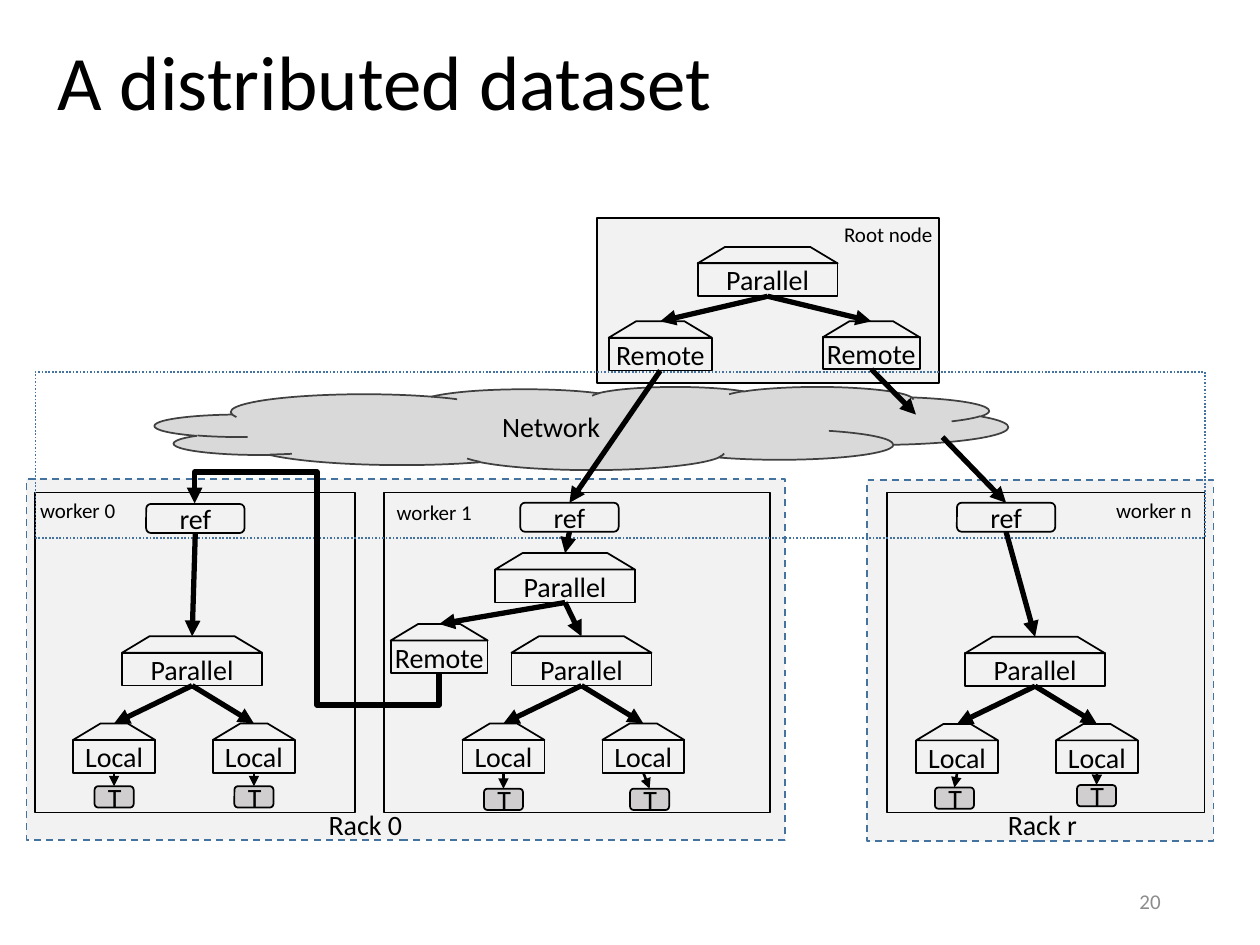
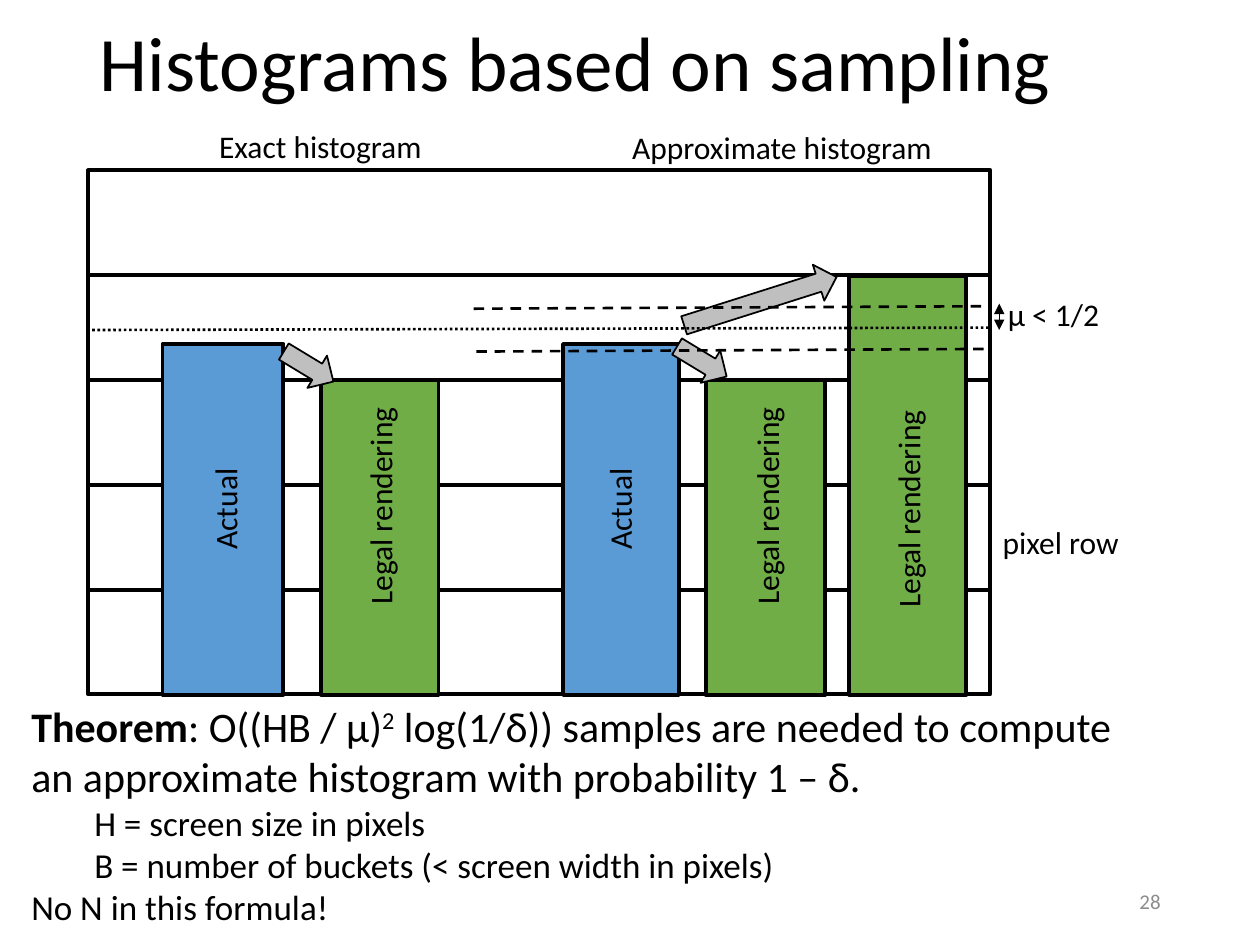
from dataclasses import dataclass

from lxml import etree
from pptx import Presentation
from pptx import util as u
from pptx.dml.color import RGBColor
from pptx.enum import dml, shapes, text
from pptx.oxml.ns import qn

KIND = shapes.MSO_SHAPE
ALIGN = text.PP_ALIGN
DASH = dml.MSO_LINE


@dataclass(frozen=True)
class Theme:
    font: str = "Calibri"
    ink: str = "000000"
    page: str = "8C8C8C"
    pane: str = "F2F2F2"
    cloud: str = "D9D9D9"
    edge: str = "404040"
    frame: str = "43739E"
    leaf: str = "D0CECE"
    blue: str = "5B9BD5"
    green: str = "70AD47"
    arrow: str = "BFBFBF"
    title: int = 44
    large: int = 24
    medium: int = 20
    label: int = 18
    body: int = 16
    small: int = 12


T = Theme()


def write(par, words, size=T.body, color=T.ink, bold=False, raised=0,
          align=ALIGN.LEFT, indent=0):
    """Add one formatted run to a paragraph."""
    par.alignment = align
    if indent:
        par._p.get_or_add_pPr().set("marL", str(u.Pt(indent)))
    run = par.add_run()
    run.text = words
    font = run.font
    font.name, font.size, font.bold = T.font, u.Pt(size), bold
    font.color.rgb = RGBColor.from_string(color)
    if raised:
        font._element.set("baseline", str(raised * 1000))


class Deck:
    """Holds the style and the current slide; lengths are in points."""

    def __init__(self):
        self.prs = Presentation()
        self.prs.slide_width, self.prs.slide_height = u.Pt(720), u.Pt(540)

    def start(self, title, number, place):
        self.slide = self.prs.slides.add_slide(self.prs.slide_layouts[5])
        head = self.slide.shapes.title
        head.left, head.top, head.width, head.height = map(u.Pt, place)
        frame = head.text_frame
        frame.auto_size = text.MSO_AUTO_SIZE.NONE
        frame.vertical_anchor = text.MSO_ANCHOR.MIDDLE
        frame.paragraphs[0].line_spacing = 0.9
        write(frame.paragraphs[0], title, size=T.title)
        self.label(number, 508.3, 500.4, 162, 28.8, size=T.small,
                   color=T.page, align=ALIGN.RIGHT, middle=True)

    def pen(self, line, color, width, dash):
        line.color.rgb = RGBColor.from_string(color)
        line.width = u.Pt(width)
        if dash:
            line.dash_style = dash

    def shape(self, kind, x, y, w, h, fill=None, edge=T.ink, width=1,
              dash=None, words=None, wrap=True, turn=0):
        item = self.slide.shapes.add_shape(kind, *map(u.Pt, (x, y, w, h)))
        item.shadow.inherit = False
        item.rotation = turn
        if fill:
            item.fill.solid()
            item.fill.fore_color.rgb = RGBColor.from_string(fill)
        else:
            item.fill.background()
        self.pen(item.line, edge, width, dash)
        if words:
            frame = item.text_frame
            frame.word_wrap = wrap
            frame.vertical_anchor = text.MSO_ANCHOR.MIDDLE
            write(frame.paragraphs[0], words, align=ALIGN.CENTER)
        return item

    def box(self, *place, **style):
        return self.shape(KIND.RECTANGLE, *place, **style)

    def label(self, words, x, y, w, h, turn=0, middle=False, **fmt):
        item = self.slide.shapes.add_textbox(*map(u.Pt, (x, y, w, h)))
        item.rotation = turn
        frame = item.text_frame
        frame.word_wrap = middle
        if middle:
            frame.vertical_anchor = text.MSO_ANCHOR.MIDDLE
        else:
            frame.auto_size = text.MSO_AUTO_SIZE.SHAPE_TO_FIT_TEXT
        if words:
            write(frame.paragraphs[0], words, **fmt)
        return frame

    def line(self, start, end, width=3, dash=None, ends=("tailEnd",),
             kind=shapes.MSO_CONNECTOR.STRAIGHT):
        item = self.slide.shapes.add_connector(
            kind, *map(u.Pt, (*start, *end)))
        self.pen(item.line, T.ink, width, dash)
        for tip in ends:
            mark = etree.SubElement(item.line._get_or_add_ln(), qn("a:" + tip))
            mark.set("type", "triangle")
        etree.SubElement(item._element.spPr, qn("a:effectLst"))
        return item

    def bend(self, start, end, bends):
        """Draw a five-part elbow, turned a quarter clockwise."""
        item = self.line(start, end, kind=shapes.MSO_CONNECTOR.ELBOW)
        props = item._element.spPr
        props.find(qn("a:xfrm")).set("rot", "5400000")
        geom = props.find(qn("a:prstGeom"))
        geom.set("prst", "bentConnector5")
        guides = geom.find(qn("a:avLst"))
        for i, bend in enumerate(bends, 1):
            etree.SubElement(guides, qn("a:gd"), name=f"adj{i}",
                             fmla=f"val {round(bend * 100000)}")

    def node(self, words, mid, top, width, height=28.2):
        """Draw a roofed box; return its top and bottom points."""
        roof, left = height / 3, mid - width / 2
        cap = self.shape(KIND.TRAPEZOID, left, top, width, roof)
        cap.adjustments[0] = 1.667
        self.box(left, top + roof, width, 2 * roof, words=words, wrap=False)
        return (mid, top), (mid, top + height)

    def pill(self, words, mid, top, width, height, fill=None):
        self.shape(KIND.ROUNDED_RECTANGLE, mid - width / 2, top, width,
                   height, fill=fill, words=words)
        return (mid, top), (mid, top + height)

    def tree(self, mid, top, leaves):
        """Draw a parallel node with two local nodes and their leaves."""
        crown, base = self.node("Parallel", mid, top, 80)
        for shift, leaf in zip((-44.6, 35.3), leaves):
            peak, foot = self.node("Local", mid + shift, top + 49.8, 46.8)
            self.line(base, peak)
            tip, _ = self.pill("T", *leaf, 22.3, 12.2, fill=T.leaf)
            self.line(foot, tip, width=1.5)
        return crown


def dataset(deck):
    deck.start("A distributed dataset", "20", (25.9, 9.4, 465.8, 78.5))

    # Panes, racks and network
    deck.box(341.3, 124.6, 195.1, 94.3, fill=T.pane)
    for x, y, w in ((495.4, 274.3, 198), (15.1, 273.6, 433.4)):
        deck.box(x, y, w, 206.3, fill=T.pane, edge=T.frame, dash=DASH.DASH)
    deck.shape(KIND.CLOUD, 88.6, 221, 487.4, 47.5, fill=T.cloud, edge=T.edge,
               words="Network")
    for x, w in ((20.2, 182.9), (219.6, 220.3), (506.9, 181.4)):
        deck.box(x, 281.5, w, 182.9)
    deck.box(20.2, 212.4, 668.2, 95, edge=T.frame, dash=DASH.ROUND_DOT)

    # Root node
    _, root = deck.node("Parallel", 438.7, 141.1, 80)
    near, out = deck.node("Remote", 377.3, 183.6, 59)
    far, exit = deck.node("Remote", 497.9, 183.6, 55.4, 27.4)
    deck.line(root, near)
    deck.line(root, far)

    # Workers
    first = deck.tree(109.8, 363.6, ((65.2, 449.3), (145.1, 449.3)))
    second = deck.tree(332.3, 363.6, ((287.7, 450.7), (371.2, 450.7)))
    last = deck.tree(591.5, 363.9, ((545.4, 450), (626.6, 448.6)))
    peak, base = deck.node("Parallel", 322.9, 316.1, 80)
    remote, _ = deck.node("Remote", 251, 356.6, 55.4)
    deck.line(base, second)
    deck.line(base, remote)

    # References and the links between machines
    goals = ((111.6, 288, first), (325.4, 287.3, peak), (574.9, 287.3, last))
    refs = []
    for mid, top, goal in goals:
        ref, foot = deck.pill("ref", mid, top, 56.2, 16.6)
        deck.line(foot, goal)
        refs.append(ref)
    deck.line(out, refs[1])
    deck.line(exit, (523.4, 236.9))
    deck.line((538.6, 249.8), refs[2])
    deck.bend((229.7, 266.4), (132.5, 406.1), (-0.185, 0.499, 1.185))

    # Names
    for words, x, y, w in (("worker 0", 15.8, 280.8, 58.3),
                           ("worker 1", 219.6, 282.2, 58.3),
                           ("worker n", 630.7, 280.8, 58.3),
                           ("Root node", 475.2, 123.1, 65.5)):
        deck.label(words, x, y, w, 21.6, size=T.small)
    for words, x, w in (("Rack 0", 180.7, 56.9), ("Rack r", 568.8, 54.7)):
        deck.label(words, x, 457.9, w, 26.6)


def sampling(deck):
    deck.start("Histograms based on sampling", "28", (49.7, 8.6, 620.6, 59))

    # Pixel rows
    left, top, step, floor = 50.4, 97.3, 59.9, 397.1
    for row in range(5):
        deck.box(left, top + row * step, 515.5, step, width=2.25)
    for words, x, y, w in (("Exact histogram", 118.1, 69.1, 131),
                           ("Approximate histogram", 354.2, 69.8, 187.2),
                           ("pixel row", 565.9, 295.2, 81.4),
                           ("μ < 1/2", 568.8, 164.9, 67.7)):
        deck.label(words, x, y, w, 28.8, size=T.label)

    # Bars: left, width, top, colour, then label, its middle and its length
    actual, legal = ("Actual", T.blue, 61.2), ("Legal rendering", T.green, 128.9)
    for (words, fill, long), x, w, y, mid, rise in (
            (actual, 92.9, 69.1, 196.6, 128.5, 290.9),
            (legal, 183.6, 67, 217.4, 217.1, 289.2),
            (actual, 321.8, 66.2, 196.6, 353.9, 290.9),
            (legal, 403.2, 68.4, 217.4, 438.1, 289.2),
            (legal, 485.3, 67, 157.7, 518.8, 290.9)):
        deck.box(x, y, w, floor - y, fill=fill, width=2.25)
        deck.label(words, mid - long / 2, rise - 14.4, long, 28.8, turn=270,
                   size=T.label, align=ALIGN.CENTER)

    # Arrows and error bounds
    for x, y, w, turn in ((384.5, 195.8, 33.1, 31.2),
                          (388.8, 161.3, 91.4, 342.4),
                          (159.8, 198.7, 33.1, 31.2)):
        deck.shape(KIND.RIGHT_ARROW, x, y, w, 21.6, fill=T.arrow, turn=turn)
    for start, end, dash in (((270.7, 176.4), (563, 175), DASH.DASH),
                             ((272.2, 200.9), (563.8, 199.4), DASH.DASH),
                             ((49.7, 188.6), (565.9, 187.2), DASH.ROUND_DOT)):
        deck.line(start, end, width=1.5, dash=dash, ends=())
    deck.line((571, 173.5), (571, 188.6), width=0.5,
              ends=("headEnd", "tailEnd"))

    # Theorem
    frame = deck.label("", 10.8, 396.7, 638.6, 138.2)
    par = frame.paragraphs[0]
    write(par, "Theorem", size=T.large, bold=True)
    write(par, ": O((HB / μ)", size=T.large)
    write(par, "2", size=T.large, raised=30)
    write(par, " log(1/δ)) samples are needed to compute", size=T.large)
    par.add_line_break()
    write(par, "an approximate histogram with probability 1 – δ.", size=T.large)
    for words, indent in (
            ("H = screen size in pixels", 36),
            ("B = number of buckets (< screen width in pixels)", 36),
            ("No N in this formula!", 0)):
        write(frame.add_paragraph(), words, size=T.medium, indent=indent)


def main():
    deck = Deck()
    dataset(deck)
    sampling(deck)
    deck.prs.save("out.pptx")


if __name__ == "__main__":
    main()
